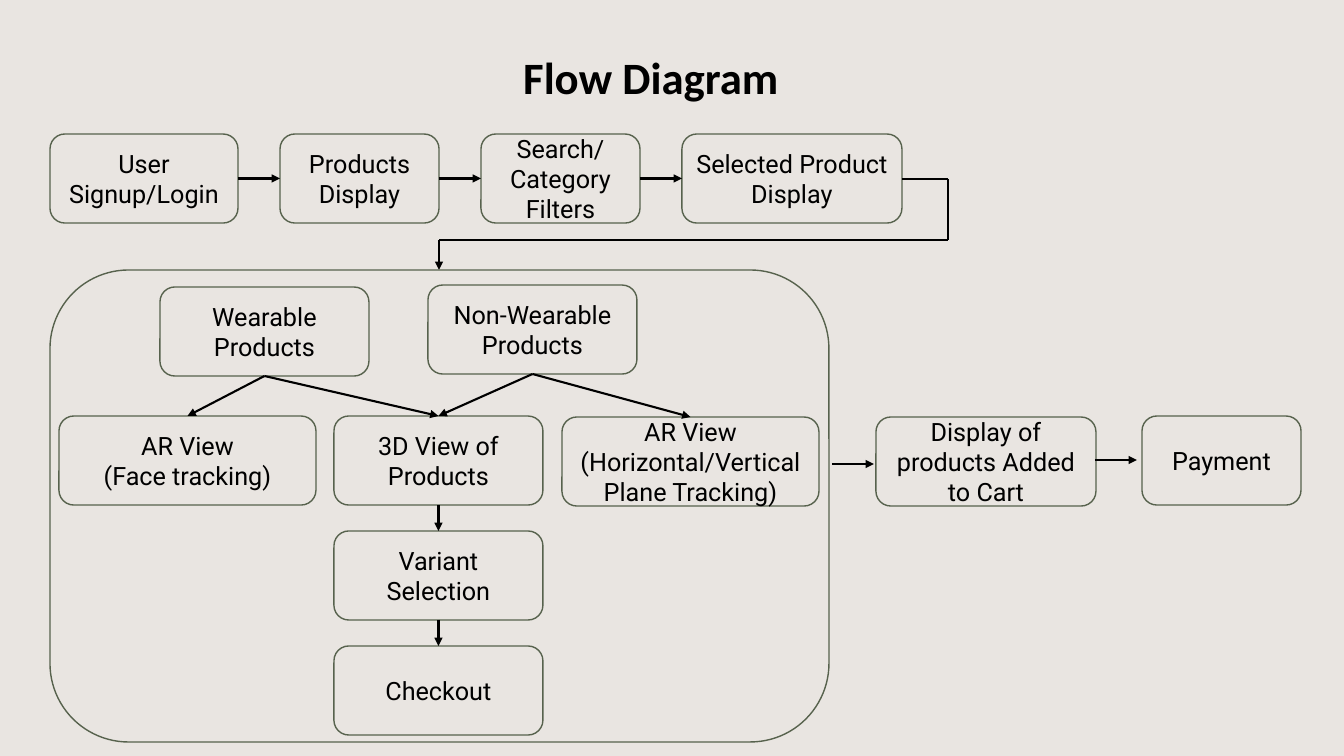
from itertools import pairwise

from lxml.etree import SubElement
from pptx import Presentation
from pptx.dml.color import RGBColor
from pptx.enum.shapes import MSO_CONNECTOR, MSO_SHAPE
from pptx.enum.text import MSO_ANCHOR, MSO_AUTO_SIZE, PP_ALIGN
from pptx.oxml.ns import qn
from pptx.util import Emu, Pt

SCALE = 914400 / 100.8
COLORS = {"background": "E9E5E1", "outline": "57624D", "ink": "000000"}
TITLE_FONT = {"name": "Calibri", "size": Pt(32), "bold": True}
BOX_FONT = {"name": "Roboto", "size": Pt(18), "bold": False}
FRAME_FORMAT = {
    "word_wrap": True,
    "auto_size": MSO_AUTO_SIZE.NONE,
    "vertical_anchor": MSO_ANCHOR.MIDDLE,
}
BOX_HEIGHT = 89
TOP, LEFT, BOTTOM, RIGHT = range(4)


def px(value):
    return Emu(round(value * SCALE))


def color(name):
    return RGBColor.from_string(COLORS[name])


def apply_format(target, values):
    for name, value in values.items():
        setattr(target, name, value)


def write_text(shape, text, font_format):
    frame = shape.text_frame
    frame.text = text
    apply_format(frame, FRAME_FORMAT)
    for paragraph in frame.paragraphs:
        paragraph.alignment = PP_ALIGN.CENTER
        for run in paragraph.runs:
            apply_format(run.font, font_format)
            run.font.color.rgb = color("ink")


def add_outline(slide, left, top, width, height):
    shape = slide.shapes.add_shape(
        MSO_SHAPE.ROUNDED_RECTANGLE, px(left), px(top), px(width), px(height)
    )
    shape.shadow.inherit = False
    shape.fill.background()
    shape.line.color.rgb = color("outline")
    shape.line.width = Pt(1)
    return shape


def add_step(slide, left, top, width, text):
    shape = add_outline(slide, left, top, width, BOX_HEIGHT)
    write_text(shape, text, BOX_FONT)
    return shape


def add_line(slide, start, end, arrow=True):
    connector = slide.shapes.add_connector(
        MSO_CONNECTOR.STRAIGHT, *(px(value) for value in (*start, *end))
    )
    connector.line.color.rgb = color("ink")
    connector.line.width = Pt(1.5)
    if arrow:
        SubElement(connector.line._get_or_add_ln(), qn("a:tailEnd"), type="triangle")
    SubElement(connector._element.spPr, qn("a:effectLst"))
    return connector


def join(slide, source, source_side, target, target_side):
    connector = add_line(slide, (0, 0), (0, 0))
    connector.begin_connect(source, source_side)
    connector.end_connect(target, target_side)


def add_title(slide, left, top, width, height):
    title = slide.shapes.title
    box = {"left": left, "top": top, "width": width, "height": height}
    apply_format(title, {name: px(value) for name, value in box.items()})
    write_text(title, "Flow Diagram", TITLE_FONT)


def add_browsing_row(slide, left, top):
    steps = [
        add_step(slide, left + offset, top, width, text)
        for offset, width, text in (
            (0, 188, "User Signup/Login"),
            (230, 159, "Products Display"),
            (431, 159, "Search/\nCategory Filters"),
            (632, 220, "Selected Product Display"),
        )
    ]
    for source, target in pairwise(steps):
        join(slide, source, RIGHT, target, LEFT)


def add_return_route(slide, left, top, width, height):
    right, turn = left + width, top + 61
    corners = [(right - 46, top), (right, top), (right, turn), (left, turn), (left, top + height)]
    segments = list(pairwise(corners))
    for segment in segments:
        add_line(slide, *segment, arrow=segment == segments[-1])


def add_product_panel(slide, left, top, width, height):
    add_outline(slide, left, top, width, height)
    wearable, non_wearable, face, view, plane, variant, checkout = (
        add_step(slide, left + x, top + y, step_width, text)
        for x, y, step_width, text in (
            (110, 17, 209, "Wearable Products"),
            (378, 15, 209, "Non-Wearable Products"),
            (9, 146, 257, "AR View\n(Face tracking)"),
            (284, 146, 209, "3D View of Products"),
            (512, 147, 257, "AR View (Horizontal/Vertical Plane Tracking)"),
            (284, 261, 209, "Variant Selection"),
            (284, 376, 209, "Checkout"),
        )
    )
    for source, target in (
        (wearable, face),
        (wearable, view),
        (non_wearable, view),
        (non_wearable, plane),
        (view, variant),
        (variant, checkout),
    ):
        join(slide, source, BOTTOM, target, TOP)


def add_payment_row(slide, left, top):
    add_step(slide, left + 44, top + 1, 220, "Display of\nproducts Added to Cart")
    add_step(slide, left + 310, top, 159, "Payment")
    for x, y in ((0, 48), (263, 44)):
        add_line(slide, (left + x, top + y), (left + x + 42, top + y))


def build_flow_slide(presentation):
    slide = presentation.slides.add_slide(presentation.slide_layouts[5])
    slide.background.fill.solid()
    slide.background.fill.fore_color.rgb = color("background")
    add_title(slide, 50, 40, 1202, 73)
    add_browsing_row(slide, 50, 134)
    add_return_route(slide, 439, 179, 509, 91)
    add_product_panel(slide, 50, 270, 779, 472)
    add_payment_row(slide, 832, 416)


def main():
    presentation = Presentation()
    presentation.slide_width = px(1344)
    presentation.slide_height = px(756)
    build_flow_slide(presentation)
    presentation.save("out.pptx")


if __name__ == "__main__":
    main()
